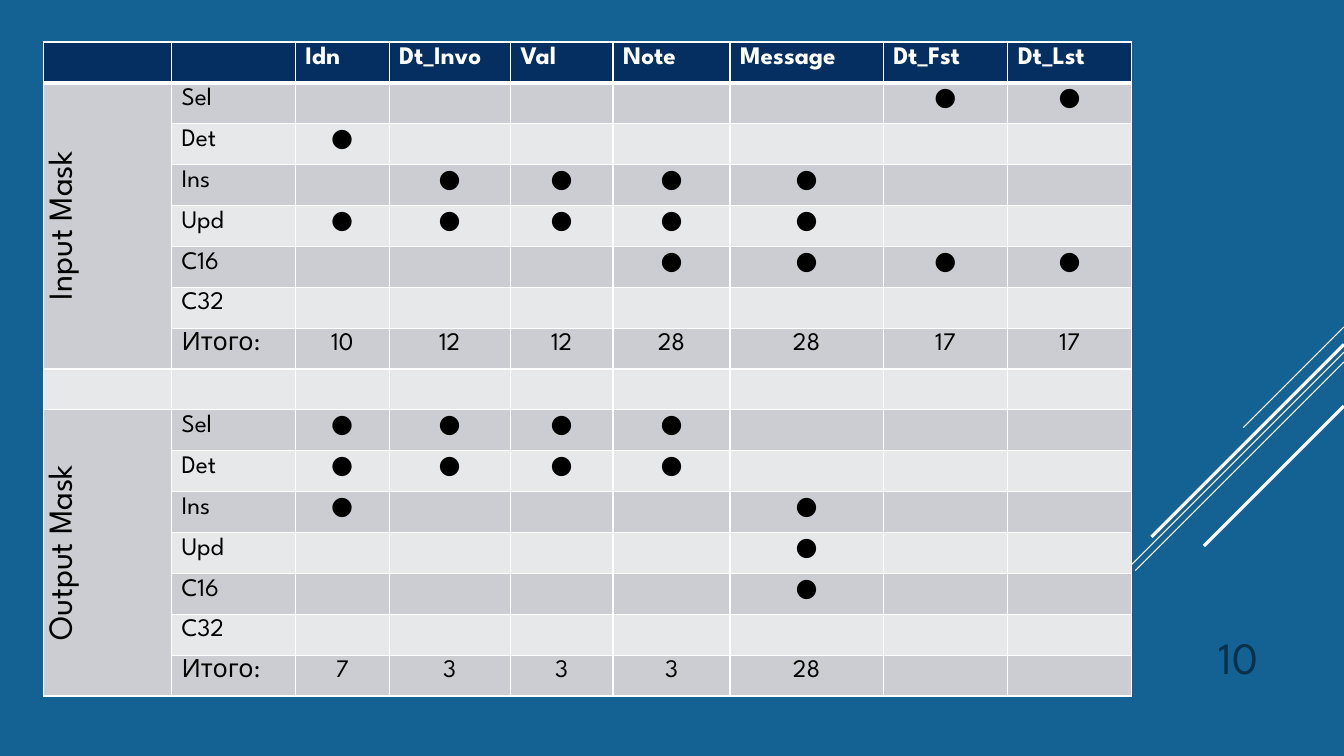
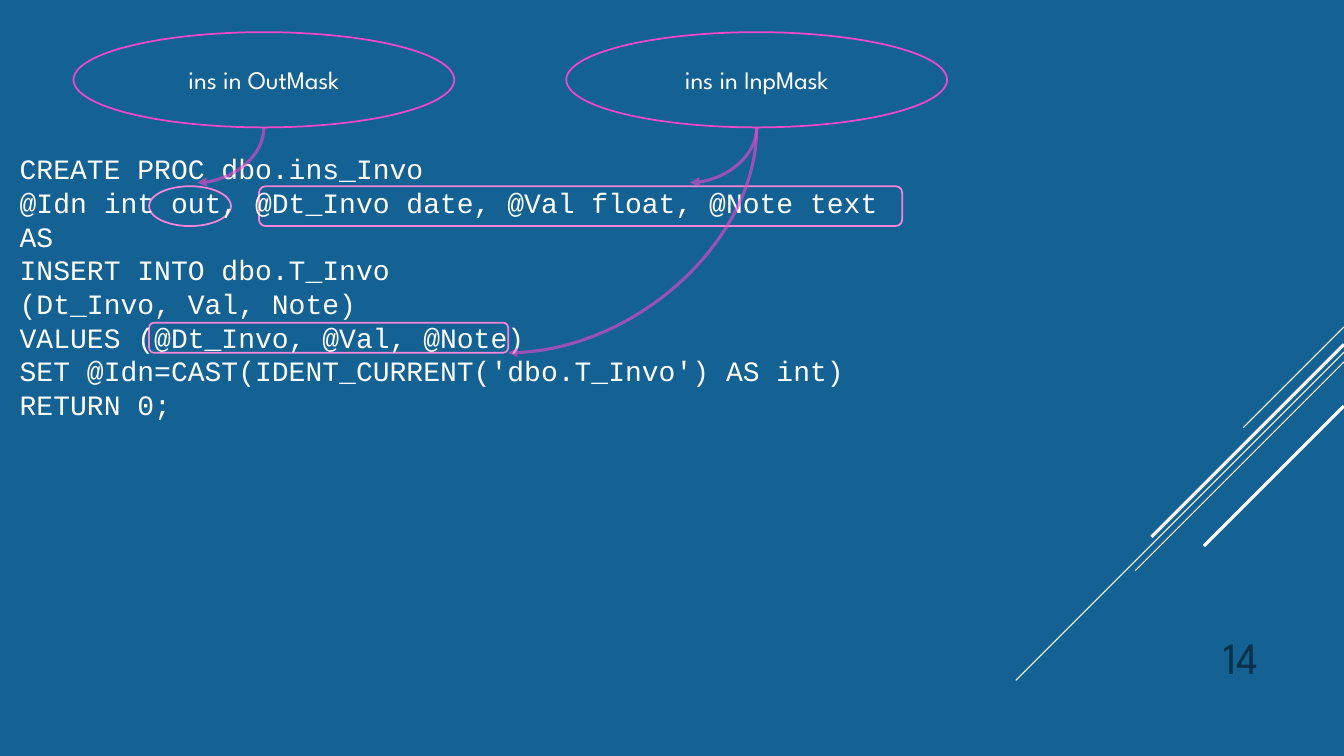
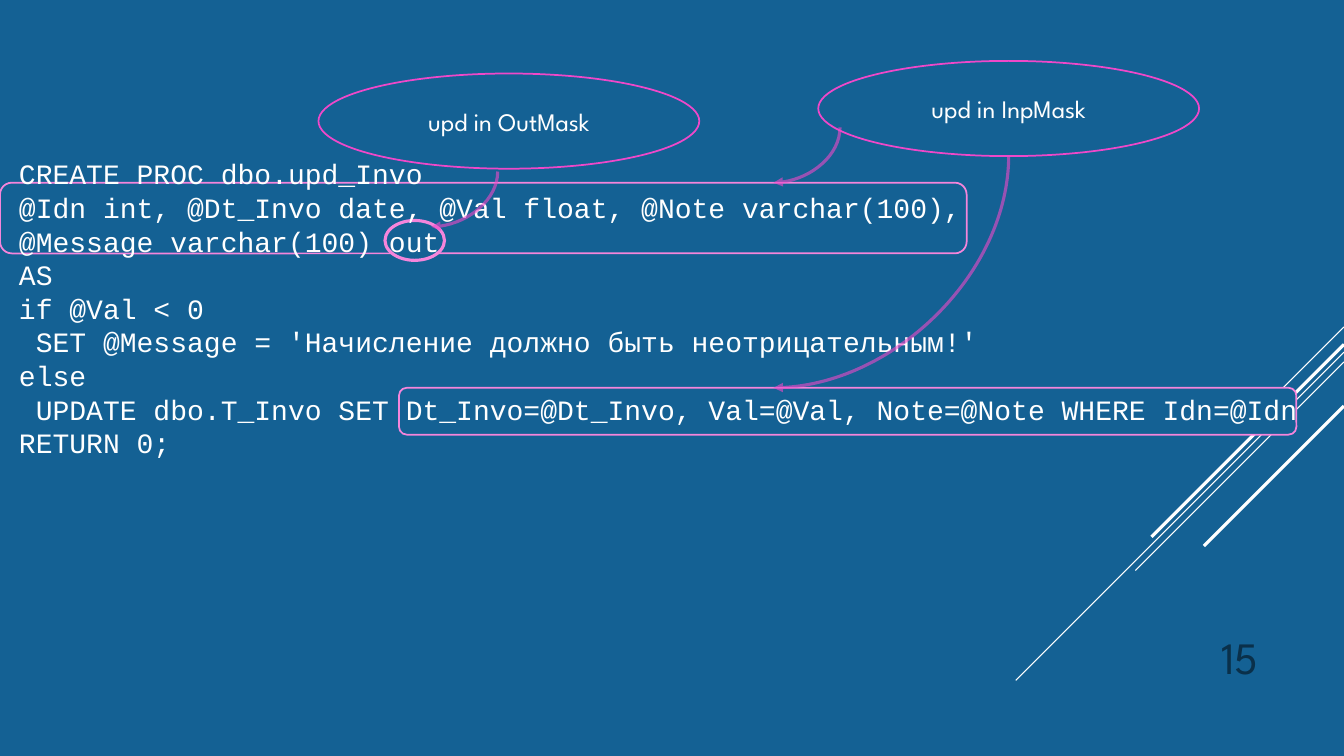
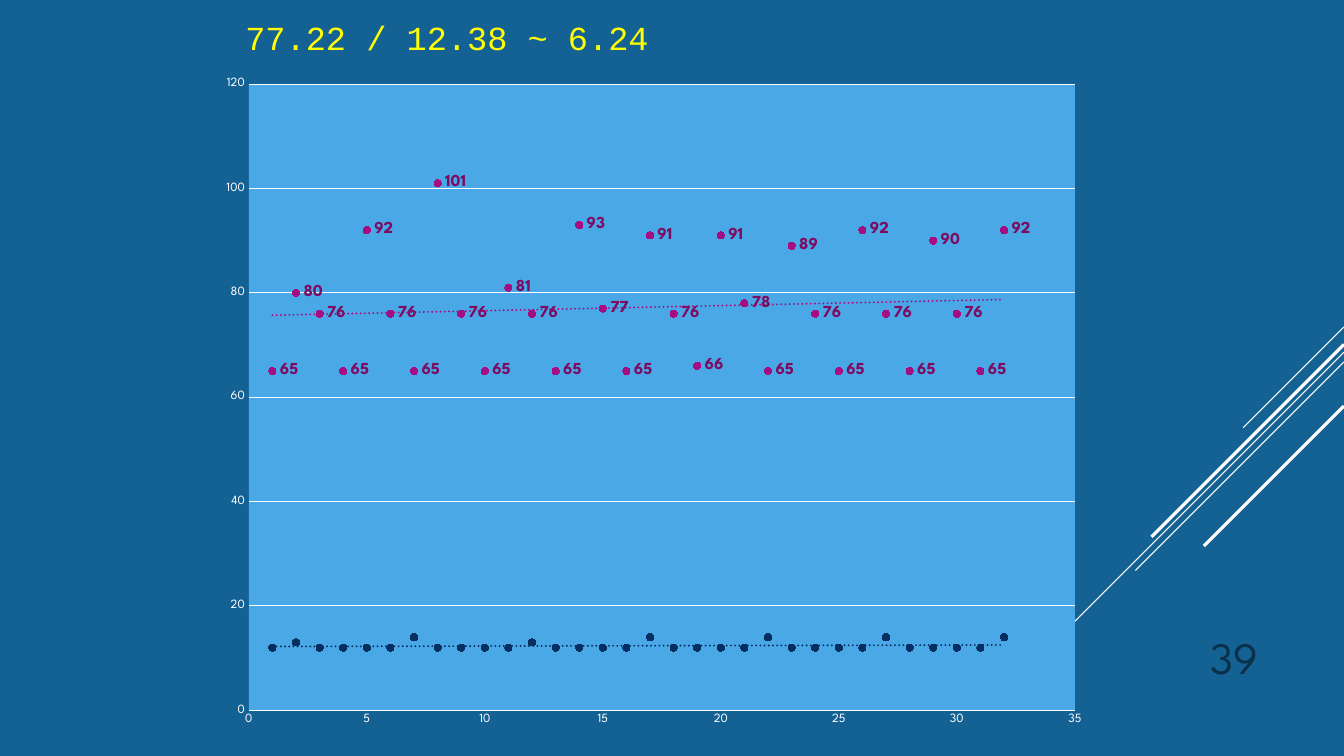
from pptx import Presentation
from pptx.chart.data import XyChartData
from pptx.dml.color import RGBColor
from pptx.enum.chart import XL_CHART_TYPE as ChartType, XL_MARKER_STYLE as Marker, XL_TICK_MARK as Tick
from pptx.enum.shapes import MSO_CONNECTOR as Link, MSO_SHAPE as Shape
from pptx.enum.text import MSO_ANCHOR as Anchor, PP_ALIGN as Align
from pptx.oxml import parse_xml
from pptx.oxml.ns import nsdecls, qn
from pptx.util import Pt

BLUE, NAVY, WHITE, BLACK = "146194", "052F61", "FFFFFF", "000000"
PINK, LIGHT_PINK, PURPLE, PLUM = "EF48C9", "F585DB", "A50E82", "7C0B61"
SKY, YELLOW, NUMBER_BLUE = "4AA8E7", "FFFF00", "0A304A"
BANDS = ("CCCDD2", "E7E8EA")
SANS, MONO = "League Spartan", "Courier New"

PAGE_SIZE = (960, 540)
NUMBER_BOX = (816, 439, 90, 52.5)
CALLOUT_SIZE = (272, 68)
STRIPES = [(233.5, 72, 0.75), (251.5, 234.5, 0.75), (258.5, 149, 0.75), (246, 137.5, 2.25), (290, 100, 2.25)]

NUMBER = {"size": Pt(32), "name": SANS, "color": NUMBER_BLUE}
LABEL = {"size": Pt(18), "name": SANS, "color": WHITE}
CODE = {"size": Pt(20), "name": MONO, "color": WHITE}
HEADING = {"size": Pt(24), "name": MONO, "color": YELLOW}
HEADER = {**LABEL, "bold": True}
CELL = {**LABEL, "color": BLACK}
MASK = {**CELL, "size": Pt(24)}
TICKS = {"size": Pt(9), "name": SANS, "color": WHITE}

COLUMN_WIDTHS = (91.5, 88.5, 67, 86.5, 73.5, 83.5, 109.5, 89, 88.5)
COLUMN_NAMES = ("", "", "Idn", "Dt_Invo", "Val", "Note", "Message", "Dt_Fst", "Dt_Lst")
MASKS = {
    "Input Mask": {
        "Sel": ". . . . . ● ●",
        "Det": "● . . . . . .",
        "Ins": ". ● ● ● ● . .",
        "Upd": "● ● ● ● ● . .",
        "C16": ". . . ● ● ● ●",
        "C32": ". . . . . . .",
        "Итого:": "10 12 12 28 28 17 17",
    },
    "Output Mask": {
        "Sel": "● ● ● ● . . .",
        "Det": "● ● ● ● . . .",
        "Ins": "● . . . ● . .",
        "Upd": ". . . . ● . .",
        "C16": ". . . . ● . .",
        "C32": ". . . . . . .",
        "Итого:": "7 3 3 3 28 . .",
    },
}

INSERT_CODE = """CREATE PROC dbo.ins_Invo
@Idn int out, @Dt_Invo date, @Val float, @Note text
AS
INSERT INTO dbo.T_Invo
(Dt_Invo, Val, Note)
VALUES (@Dt_Invo, @Val, @Note)
SET @Idn=CAST(IDENT_CURRENT('dbo.T_Invo') AS int)
RETURN 0;"""

UPDATE_CODE = """CREATE PROC dbo.upd_Invo
@Idn int, @Dt_Invo date, @Val float, @Note varchar(100),
@Message varchar(100) out
AS
if @Val < 0
 SET @Message = 'Начисление должно быть неотрицательным!'
else
 UPDATE dbo.T_Invo SET Dt_Invo=@Dt_Invo, Val=@Val, Note=@Note WHERE Idn=@Idn
RETURN 0;"""

UPPER_VALUES = (65, 80, 76, 65, 92, 76, 65, 101, 76, 65, 81, 76, 65, 93, 77, 65,
                91, 76, 66, 91, 78, 65, 89, 76, 65, 92, 76, 65, 90, 76, 65, 92)
LOWER_VALUES = (12, 13, 12, 12, 12, 12, 14, 12, 12, 12, 12, 13, 12, 12, 12, 12,
                14, 12, 12, 12, 12, 14, 12, 12, 12, 12, 14, 12, 12, 12, 12, 14)


def points(values):
    return [Pt(value) for value in values]


def rgb(color):
    return RGBColor.from_string(color)


def paint(fill, color):
    fill.solid()
    fill.fore_color.rgb = rgb(color)


def apply(target, values):
    for name, value in values.items():
        setattr(target, name, value)


def style_font(font, values):
    apply(font, {name: value for name, value in values.items() if name != "color"})
    font.color.rgb = rgb(values["color"])


def style_line(line, color, weight):
    paint(line.fill, color)
    line.width = Pt(weight)


def write(frame, text, style, **layout):
    frame.text = text
    for para in frame.paragraphs:
        apply(para, layout)
        for span in para.runs:
            style_font(span.font, style)


def add_text(page, box, text, style, anchor=Anchor.TOP, **layout):
    frame = page.shapes.add_textbox(*points(box)).text_frame
    apply(frame, {"word_wrap": True, "vertical_anchor": anchor})
    write(frame, text, style, **layout)


def add_line(page, kind, start, end, color, weight):
    line = page.shapes.add_connector(kind, *points(start + end))
    style_line(line.line, color, weight)
    line.element.spPr.append(parse_xml(f"<a:effectLst {nsdecls('a')}/>"))
    return line


def add_outline(page, kind, box, color, weight):
    shape = page.shapes.add_shape(kind, *points(box))
    shape.shadow.inherit = False
    paint(shape.fill, BLUE)
    style_line(shape.line, color, weight)
    return shape


def add_callout(page, corner, text):
    oval = add_outline(page, Shape.OVAL, corner + CALLOUT_SIZE, PINK, 1.25)
    oval.text_frame.vertical_anchor = Anchor.MIDDLE
    write(oval.text_frame, text, LABEL, alignment=Align.CENTER)


def add_curved_arrow(page, start, end):
    middle_x, middle_y = (start[0] + end[0]) / 2, (start[1] + end[1]) / 2
    half_x, half_y = (end[1] - start[1]) / 2, (start[0] - end[0]) / 2
    arrow = add_line(page, Link.CURVE, (middle_x - half_x, middle_y - half_y),
                     (middle_x + half_x, middle_y + half_y), PINK, 2.25)
    properties = arrow.element.spPr
    properties.find(qn("a:xfrm")).set("rot", "5400000")
    properties.find(qn("a:prstGeom")).set("prst", "curvedConnector2")
    outline = properties.find(qn("a:ln"))
    color = next(outline.iter(qn("a:srgbClr")))
    color.append(parse_xml(f'<a:alpha {nsdecls("a")} val="60000"/>'))
    outline.append(parse_xml(f'<a:tailEnd {nsdecls("a")} type="triangle"/>'))


def set_master(deck, page):
    master = deck.slide_master
    paint(master.background.fill, BLUE)
    right = PAGE_SIZE[0]
    for top, run, weight in STRIPES:
        line = add_line(page, Link.STRAIGHT, (right, top), (right - run, top + run), WHITE, weight)
        master.shapes.element.append(line.element)


def add_page(deck, number, layout=6):
    page = deck.slides.add_slide(deck.slide_layouts[layout])
    add_text(page, NUMBER_BOX, str(number), NUMBER, Anchor.BOTTOM, alignment=Align.RIGHT)
    return page


def set_borders(cell, bottom):
    properties = cell._tc.get_or_add_tcPr()
    weights = {"lnL": 1, "lnR": 1, "lnT": 1, "lnB": bottom}
    for index, (side, weight) in enumerate(weights.items()):
        properties.insert(index, parse_xml(
            f'<a:{side} {nsdecls("a")} w="{Pt(weight)}"><a:solidFill>'
            f'<a:srgbClr val="{WHITE}"/></a:solidFill></a:{side}>'))


def add_mask_table(page, box):
    blank = [""] * len(COLUMN_NAMES)
    rows, starts = [COLUMN_NAMES], {}
    for name, lines in MASKS.items():
        if starts:
            rows.append(blank)
        starts[len(rows)] = name
        for label, marks in lines.items():
            rows.append(["", label] + [mark.replace(".", "") for mark in marks.split()])

    table = page.shapes.add_table(len(rows), len(COLUMN_NAMES), *points(box)).table
    table.horz_banding = False
    for column, width in zip(table.columns, COLUMN_WIDTHS):
        column.width = Pt(width)
    for index, texts in enumerate(rows):
        table.rows[index].height = Pt(box[3] / len(rows))
        header = index == 0
        for column, text in enumerate(texts):
            cell = table.cell(index, column)
            paint(cell.fill, NAVY if header else BANDS[(index - 1) % 2])
            set_borders(cell, 3 if header else 1)
            centred = not header and column > 1
            write(cell.text_frame, text, HEADER if header else CELL,
                  alignment=Align.CENTER if centred else Align.LEFT)
    for start, name in starts.items():
        cell = table.cell(start, 0)
        cell.merge(table.cell(start + len(MASKS[name]) - 1, 0))
        cell._tc.get_or_add_tcPr().set("vert", "vert270")
        write(cell.text_frame, name, MASK, alignment=Align.CENTER)


def add_code_page(deck, number, marks, code_box, code, callouts, arrows):
    page = add_page(deck, number)
    for kind, box, weight in marks:
        add_outline(page, kind, box, LIGHT_PINK, weight)
    add_text(page, code_box, code, CODE, line_spacing=Pt(24))
    for corner, text in callouts:
        add_callout(page, corner, text)
    for start, end in arrows:
        add_curved_arrow(page, start, end)


def style_axis(axis, top, step, grid):
    apply(axis, {"minimum_scale": 0, "maximum_scale": top, "major_unit": step,
                 "has_major_gridlines": grid, "has_minor_gridlines": False,
                 "major_tick_mark": Tick.NONE, "minor_tick_mark": Tick.NONE})
    style_font(axis.tick_labels.font, TICKS)
    if grid:
        style_line(axis.major_gridlines.format.line, WHITE, 0.75)
        axis.format.line.fill.background()
    else:
        style_line(axis.format.line, WHITE, 0.75)


def style_series(series, color, labelled):
    series.format.line.fill.background()
    apply(series.marker, {"style": Marker.CIRCLE, "size": 5})
    paint(series.marker.format.fill, color)
    style_line(series.marker.format.line, color, 0.75)
    x_values = series._element.find(qn("c:xVal"))
    if labelled:
        x_values.addprevious(parse_xml(
            f'<c:dLbls {nsdecls("c", "a")}><c:txPr><a:bodyPr/><a:p><a:pPr>'
            f'<a:defRPr sz="1200" b="1"><a:solidFill><a:srgbClr val="{PLUM}"/></a:solidFill>'
            f'<a:latin typeface="{SANS}"/></a:defRPr></a:pPr></a:p></c:txPr>'
            '<c:dLblPos val="r"/><c:showLegendKey val="0"/><c:showVal val="1"/>'
            '<c:showCatName val="0"/><c:showSerName val="0"/><c:showPercent val="0"/>'
            '<c:showBubbleSize val="0"/></c:dLbls>'))
    x_values.addprevious(parse_xml(
        f'<c:trendline {nsdecls("c", "a")}><c:spPr><a:ln w="{Pt(1.5)}" cap="rnd"><a:solidFill>'
        f'<a:srgbClr val="{color}"/></a:solidFill><a:prstDash val="sysDot"/></a:ln></c:spPr>'
        '<c:trendlineType val="linear"/><c:dispRSqr val="0"/><c:dispEq val="0"/></c:trendline>'))


def set_plot_area(chart, x, y, width, height):
    area = next(chart.element.iter(qn("c:plotArea")))
    for layout in area.findall(qn("c:layout")):
        area.remove(layout)
    sizes = {"x": x, "y": y, "w": width, "h": height}
    places = "".join(f'<c:{name} val="{value}"/>' for name, value in sizes.items())
    area.insert(0, parse_xml(
        f'<c:layout {nsdecls("c")}><c:manualLayout><c:layoutTarget val="inner"/>'
        f'<c:xMode val="edge"/><c:yMode val="edge"/>{places}</c:manualLayout></c:layout>'))
    area.append(parse_xml(
        f'<c:spPr {nsdecls("c", "a")}><a:solidFill><a:srgbClr val="{SKY}"/></a:solidFill></c:spPr>'))


def add_scatter(page, box):
    data = XyChartData()
    for name, values in (("Series 1", UPPER_VALUES), ("Series 2", LOWER_VALUES)):
        series = data.add_series(name)
        for x, y in enumerate(values, 1):
            series.add_data_point(x, y)
    chart = page.shapes.add_chart(ChartType.XY_SCATTER, *points(box), data).chart
    apply(chart, {"has_legend": False, "has_title": False})
    style_font(chart.font, {**TICKS, "size": Pt(10)})
    chart.plots[0].vary_by_categories = False
    style_axis(chart.category_axis, 35, 5, False)
    style_axis(chart.value_axis, 120, 20, True)
    for series, color, labelled in zip(chart.plots[0].series, (PURPLE, NAVY), (True, False)):
        style_series(series, color, labelled)
    set_plot_area(chart, 0.05, 0.02, 0.93, 0.93)


def add_chart_page(deck, number, heading, heading_box, chart_box):
    page = add_page(deck, number, 5)
    title = page.shapes.title
    apply(title, dict(zip(("left", "top", "width", "height"), points(heading_box))))
    apply(title.text_frame, {"word_wrap": True, "vertical_anchor": Anchor.TOP})
    write(title.text_frame, heading, HEADING, alignment=Align.LEFT)
    add_scatter(page, chart_box)


def main():
    deck = Presentation()
    deck.slide_width, deck.slide_height = points(PAGE_SIZE)

    table_page = add_page(deck, 10)
    set_master(deck, table_page)
    add_mask_table(table_page, (31, 30, 778, 467.2))

    add_code_page(
        deck, 14,
        [(Shape.ROUNDED_RECTANGLE, (106.5, 230.5, 256.5, 21.5), 1.25),
         (Shape.ROUNDED_RECTANGLE, (185, 133, 459.5, 28.5), 1.25),
         (Shape.OVAL, (106.5, 133, 58.5, 28.5), 1.25)],
        (7, 105, 659, 201), INSERT_CODE,
        [((404.5, 23), "ins in InpMask"), ((52.5, 23), "ins in OutMask")],
        [((540.5, 91), (493, 130.5)), ((540.5, 91), (363, 252)), ((188.5, 91), (141, 130.5))])

    add_code_page(
        deck, 15,
        [(Shape.ROUNDED_RECTANGLE, (0, 130.5, 690.5, 50.5), 1.25),
         (Shape.OVAL, (275, 157.5, 42.5, 28.5), 2.25),
         (Shape.ROUNDED_RECTANGLE, (285, 277, 641, 33.5), 1.25)],
        (6.5, 108.5, 936, 225.5), UPDATE_CODE,
        [((584.5, 43.5), "upd in InpMask"), ((227.5, 52.5), "upd in OutMask")],
        [((600, 91), (552.5, 130.5)), ((720.5, 111), (552.5, 277)), ((355.5, 122.5), (308, 162))])

    add_chart_page(deck, 39, "77.22 / 12.38 ~ 6.24", (168, 8.5, 320, 36), (146, 50.5, 634.5, 481))
    deck.save("out.pptx")


if __name__ == "__main__":
    main()
